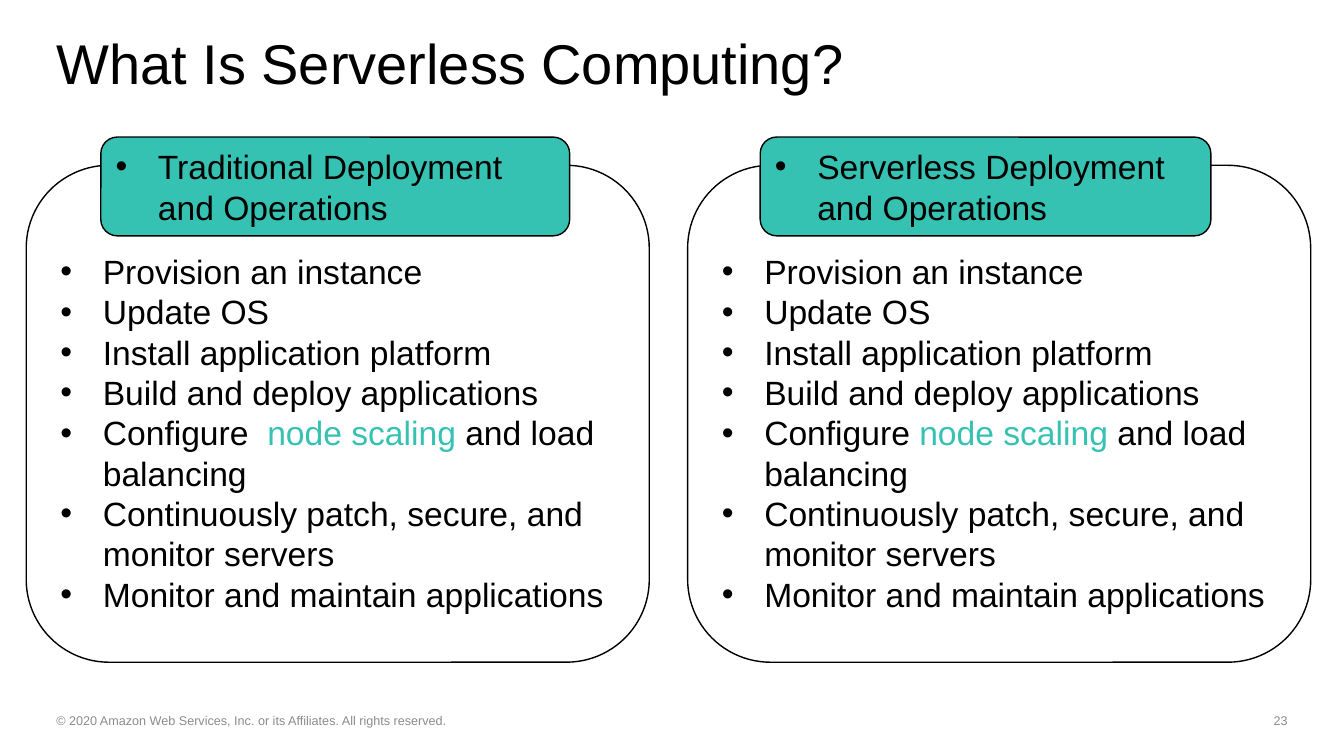
import pptx
import pptx.dml.color
import pptx.enum.shapes
import pptx.enum.text
import pptx.util
from lxml import etree
from pptx.oxml.ns import qn

BLACK = pptx.dml.color.RGBColor(0x00, 0x00, 0x00)
WHITE = pptx.dml.color.RGBColor(0xFF, 0xFF, 0xFF)
TEAL = pptx.dml.color.RGBColor(0x36, 0xC2, 0xB3)
GRAY = pptx.dml.color.RGBColor(0x8C, 0x8C, 0x8C)
ALIGN = pptx.enum.text.PP_ALIGN
INCHES = pptx.util.Inches

# Content: each list item is a list of (text, colour) runs
TITLE = "What Is Serverless Computing?"
COPYRIGHT = "© 2020 Amazon Web Services, Inc. or its Affiliates. All rights reserved."
PAGE_NUMBER = "23"


def list_items(configure):
    return [
        [("Provision an instance", BLACK)],
        [("Update OS", BLACK)],
        [("Install application platform", BLACK)],
        [("Build and deploy applications", BLACK)],
        [(configure, BLACK), ("node scaling ", TEAL), ("and load balancing", BLACK)],
        [("Continuously patch, secure, and monitor servers", BLACK)],
        [("Monitor and maintain applications", BLACK)],
    ]


# Heading, heading offset from the panel's left, heading width, list
COLUMNS = [
    ("Traditional Deployment and Operations", 0.74, 4.65, list_items("Configure  ")),
    ("Serverless Deployment and Operations", 0.72, 4.47, list_items("Configure ")),
]

# Layout in inches
SLIDE_WIDTH, SLIDE_HEIGHT = 13.33, 7.5
MARGIN = 0.46
PANEL_LEFT, PANEL_TOP, PANEL_WIDTH, PANEL_HEIGHT = 0.26, 1.64, 6.18, 4.93
PANEL_STEP = 6.56
HEADING_TOP, HEADING_HEIGHT = 1.36, 0.98
LIST_INSET, LIST_TOP = 0.24, 2.44
INDENT = 0.42


def place(shape, left, top, width, height):
    shape.left, shape.top = INCHES(left), INCHES(top)
    shape.width, shape.height = INCHES(width), INCHES(height)


def write(shape, paragraphs, size, anchor, align=ALIGN.LEFT, bullets=False):
    frame = shape.text_frame
    frame.word_wrap = True
    frame.auto_size = pptx.enum.text.MSO_AUTO_SIZE.NONE
    frame.vertical_anchor = anchor
    for index, runs in enumerate(paragraphs):
        paragraph = frame.add_paragraph() if index else frame.paragraphs[0]
        paragraph.alignment = align
        paragraph.space_before = pptx.util.Pt(0)
        if bullets:
            properties = paragraph._p.get_or_add_pPr()
            properties.set("marL", str(INCHES(INDENT)))
            properties.set("indent", str(-INCHES(INDENT)))
            etree.SubElement(properties, qn("a:buFont")).set("typeface", "Arial")
            etree.SubElement(properties, qn("a:buChar")).set("char", "•")
        for text, color in runs:
            run = paragraph.add_run()
            run.text = text
            run.font.name = "Arial"
            run.font.size = pptx.util.Pt(size)
            run.font.color.rgb = color


def add_rounded_box(slide, left, top, width, height, fill):
    shape = slide.shapes.add_shape(
        pptx.enum.shapes.MSO_SHAPE.ROUNDED_RECTANGLE,
        INCHES(left), INCHES(top), INCHES(width), INCHES(height))
    shape.shadow.inherit = False
    shape.fill.solid()
    shape.fill.fore_color.rgb = fill
    shape.line.color.rgb = BLACK
    shape.line.width = pptx.util.Pt(1)
    return shape


def main():
    presentation = pptx.Presentation()
    presentation.slide_width = INCHES(SLIDE_WIDTH)
    presentation.slide_height = INCHES(SLIDE_HEIGHT)
    slide = presentation.slides.add_slide(
        presentation.slide_layouts.get_by_name("Two Content"))
    top = pptx.enum.text.MSO_ANCHOR.TOP
    middle = pptx.enum.text.MSO_ANCHOR.MIDDLE

    # Title
    title = slide.shapes.title
    place(title, MARGIN, 0.4, 9.88, 0.52)
    write(title, [[(TITLE, BLACK)]], 40, middle)
    title.text_frame.paragraphs[0].line_spacing = 0.9

    # Panels with their lists and headings
    for index, (heading, offset, heading_width, items) in enumerate(COLUMNS):
        left = PANEL_LEFT + index * PANEL_STEP
        add_rounded_box(slide, left, PANEL_TOP, PANEL_WIDTH, PANEL_HEIGHT, WHITE)

        body = slide.placeholders[index + 1]
        place(body, left + LIST_INSET, LIST_TOP, PANEL_WIDTH - 2 * LIST_INSET,
              PANEL_TOP + PANEL_HEIGHT - LIST_INSET - LIST_TOP)
        write(body, items, 24, top, bullets=True)
        slide.shapes._spTree.append(body._element)  # lift the list above its panel

        header = add_rounded_box(slide, left + offset, HEADING_TOP,
                                 heading_width, HEADING_HEIGHT, TEAL)
        write(header, [[(heading, BLACK)]], 24, middle, bullets=True)

    # Footer
    for text, left, width, align in [
        (COPYRIGHT, MARGIN, 4.09, ALIGN.LEFT),
        (PAGE_NUMBER, SLIDE_WIDTH - MARGIN - 3, 3, ALIGN.RIGHT),
    ]:
        footer = slide.shapes.add_textbox(
            INCHES(left), INCHES(6.95), INCHES(width), INCHES(0.4))
        write(footer, [[(text, GRAY)]], 9, middle, align)

    presentation.save("out.pptx")


if __name__ == "__main__":
    main()
